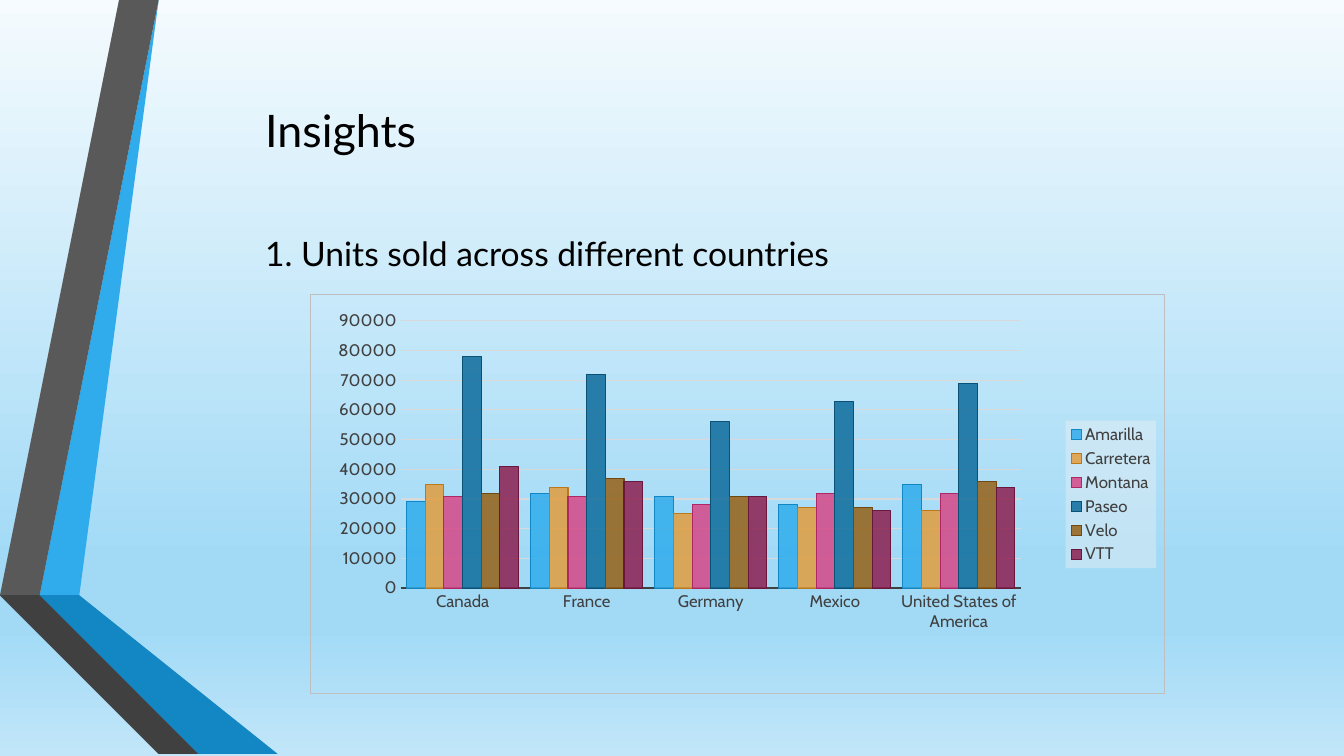
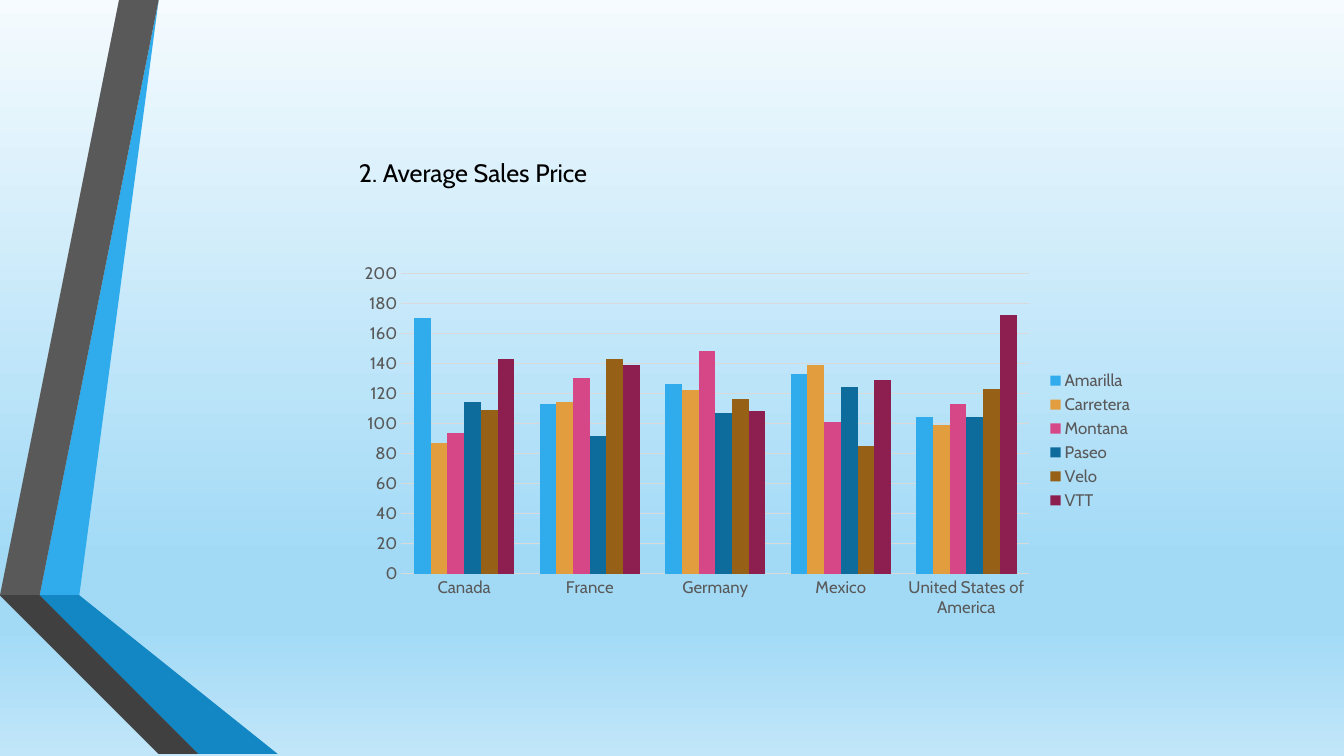
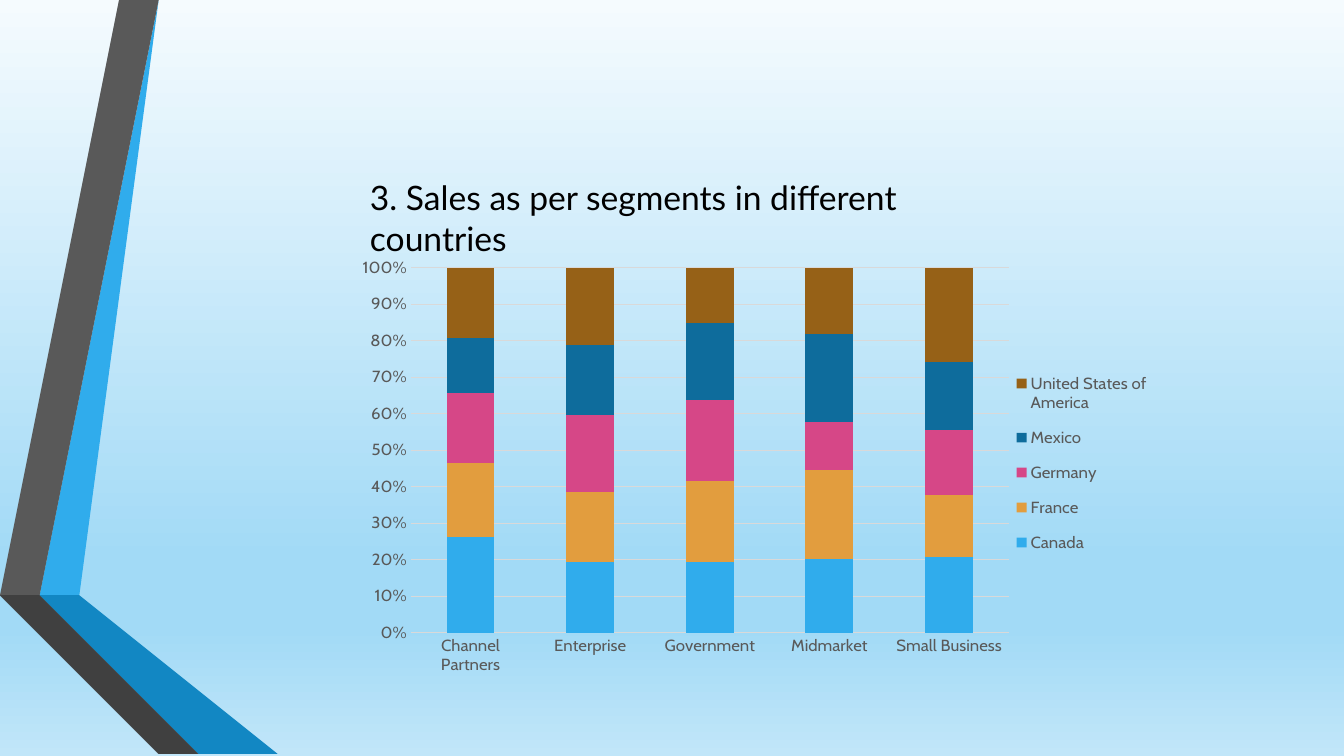
from lxml.etree import SubElement
from pptx import Presentation
from pptx.chart.data import CategoryChartData
from pptx.dml.color import RGBColor
from pptx.enum.chart import XL_CHART_TYPE, XL_LEGEND_POSITION, XL_TICK_MARK
from pptx.enum.text import MSO_ANCHOR, MSO_AUTO_SIZE, PP_ALIGN
from pptx.oxml import parse_xml
from pptx.oxml.ns import nsdecls, qn
from pptx.util import Cm, Pt

# Shared look
HEAD, BODY = "Lato", "Cabin"
BLACK, DARK, GREY, GRID = "000000", "404040", "595959", "D9D9D9"
SKY = [(0, "F5FBFE"), (74, "A2DAF6"), (83, "A2DAF6"), (100, "C1E6F9")]
HUES = ["30ACEC", "E29D3E", "D64787", "0E6C9C", "966117", "8C1F50"]
EDGES = ["1287C3", "BC791C", "AF2764", "0B5175", "714811", "69173C"]

# Ribbon outlines in centimetres, from back to front
BANDS = [
    ("30ACEC", [(1.27, 14.68), (1.96, 14.81), (4.39, 0), (3.68, 0)]),
    (GREY, [(3.53, 0), (2.82, 0), (0.41, 14.55), (1.12, 14.66)]),
    ("262626", [(0.41, 14.55), (3.68, 19.05), (3.84, 19.05)]),
    ("0C5A82", [(1.27, 14.71), (5.28, 19.05), (5.44, 19.05)]),
    ("1287C3", [(1.27, 14.71), (5.44, 19.05), (7.19, 19.05), (1.96, 14.81),
                (1.27, 14.68)]),
    (DARK, [(5.13, 19.05), (1.22, 14.68), (1.12, 14.66), (0.41, 14.55),
            (3.84, 19.05)]),
]

# Chart data
LANDS = ["Canada", "France", "Germany", "Mexico", "United States of America"]
PARTS = ["Channel Partners", "Enterprise", "Government", "Midmarket",
         "Small Business"]
UNITS = {
    "Amarilla": [29000, 32000, 31000, 28000, 35000],
    "Carretera": [35000, 34000, 25000, 27000, 26000],
    "Montana": [31000, 31000, 28000, 32000, 32000],
    "Paseo": [78000, 72000, 56000, 63000, 69000],
    "Velo": [32000, 37000, 31000, 27000, 36000],
    "VTT": [41000, 36000, 31000, 26000, 34000],
}
PRICES = {
    "Amarilla": [170, 113, 126, 133, 104],
    "Carretera": [87, 114, 122, 139, 99],
    "Montana": [94, 130, 148, 101, 113],
    "Paseo": [114, 92, 107, 124, 104],
    "Velo": [109, 143, 116, 85, 123],
    "VTT": [143, 139, 108, 129, 172],
}
SALES = dict(zip(LANDS, [
    [26, 19, 19, 20, 21],
    [20, 19, 22, 24, 17],
    [19, 21, 22, 13, 18],
    [15, 19, 21, 24, 19],
    [19, 21, 15, 18, 26],
]))


def rgb(code):
    return RGBColor.from_string(code)


def set_font(font, face, size, hue):
    font.name, font.size = face, Pt(size)
    font.color.rgb = rgb(hue)


def set_line(line, hue, width):
    line.color.rgb = rgb(hue)
    line.width = Pt(width)


# Background and ribbons, kept on the master
def paint_sky(master):
    fill = master.background.fill
    fill.gradient()
    fill.gradient_angle = 270
    stops = master.element.find(".//" + qn("a:gsLst"))
    for old in list(stops):
        stops.remove(old)
    for spot, hue in SKY:
        stop = SubElement(stops, qn("a:gs"), pos=str(spot * 1000))
        SubElement(stop, qn("a:srgbClr"), val=hue)


def draw_bands(slide, master):
    tree = master.shapes.element if hasattr(master.shapes, "element") \
        else master.element.find(".//" + qn("p:spTree"))
    for rank, (hue, spots) in enumerate(BANDS):
        pen = slide.shapes.build_freeform(*spots[0], scale=Cm(1))
        pen.add_line_segments(spots[1:], close=True)
        band = pen.convert_to_shape()
        band.name = f"Band {rank + 1}"
        band.shadow.inherit = False
        band.fill.solid()
        band.fill.fore_color.rgb = rgb(hue)
        band.line.fill.background()
        band.element.find(".//" + qn("p:cNvPr")).set("id", str(20 + rank))
        tree.insert(2 + rank, band.element)


# Text in a placeholder
def put_text(holder, box, text, face, size):
    holder.left, holder.top, holder.width, holder.height = map(Cm, box)
    frame = holder.text_frame
    frame.word_wrap = True
    frame.auto_size = MSO_AUTO_SIZE.NONE
    frame.vertical_anchor = MSO_ANCHOR.TOP
    para = frame.paragraphs[0]
    para.alignment = PP_ALIGN.LEFT
    para.space_before = Pt(0)
    props = para._p.get_or_add_pPr()
    props.set("marL", "0")
    props.set("indent", "0")
    SubElement(props, qn("a:buNone"))
    run = para.add_run()
    run.text = text
    set_font(run.font, face, size, BLACK)


# Chart details that need XML
def clear_box(tag="c:spPr"):
    return parse_xml(f'<{tag} {nsdecls("c", "a")}><a:noFill/>'
                     f'<a:ln><a:noFill/></a:ln></{tag}>')


def place_part(part, index, box):
    for old in part.findall(qn("c:layout")):
        part.remove(old)
    lay = parse_xml(f'<c:layout {nsdecls("c")}><c:manualLayout/></c:layout>')
    inner = part.tag == qn("c:plotArea")
    pairs = [("layoutTarget", "inner")] if inner else []
    pairs += [("xMode", "edge"), ("yMode", "edge")]
    pairs += zip("xywh", box)
    for key, val in pairs:
        SubElement(lay[0], qn("c:" + key), val=str(val))
    part.insert(index, lay)


def fade(fill, share):
    SubElement(fill.find(".//" + qn("a:srgbClr")), qn("a:alpha"),
               val=str(share * 1000))


def frame_chart(chart, hue):
    root = chart._chartSpace
    box = clear_box()
    if hue:
        line = box.find(qn("a:ln"))
        line.set("w", str(Pt(0.75)))
        line.remove(line[0])
        solid = SubElement(line, qn("a:solidFill"))
        SubElement(solid, qn("a:srgbClr"), val=hue)
    root.find(qn("c:chart")).addnext(box)
    root.find(".//" + qn("c:plotArea")).append(clear_box())


def tint_key(chart, hue, share):
    box = parse_xml(f'<c:spPr {nsdecls("c", "a")}><a:solidFill>'
                    f'<a:srgbClr val="{hue}"/></a:solidFill></c:spPr>')
    fade(box, share)
    chart.legend._element.find(qn("c:overlay")).addnext(box)


# Column charts
def style_axis(axis, ink):
    axis.major_tick_mark = axis.minor_tick_mark = XL_TICK_MARK.NONE
    set_font(axis.tick_labels.font, BODY, 12, ink)
    axis.format.line.fill.background()


def add_bars(slide, kind, box, names, rows, ink, gap, form="0", top=None,
             step=None, plot=None):
    data = CategoryChartData()
    data.categories = names
    for name, vals in rows.items():
        data.add_series(name, vals)
    chart = slide.shapes.add_chart(kind, *map(Cm, box), data).chart
    chart.has_title = False
    set_font(chart.font, BODY, 10, BLACK)

    bars = chart.plots[0]
    bars.gap_width = gap
    bars.vary_by_categories = False
    for row, hue in zip(bars.series, HUES):
        row.invert_if_negative = False
        row.format.fill.solid()
        row.format.fill.fore_color.rgb = rgb(hue)

    scale = chart.value_axis
    for axis in (chart.category_axis, scale):
        style_axis(axis, ink)
    scale.has_major_gridlines = True
    set_line(scale.major_gridlines.format.line, GRID, 0.75)
    scale.tick_labels.number_format = form
    scale.tick_labels.number_format_is_linked = False
    if top:
        scale.minimum_scale, scale.maximum_scale = 0, top
        scale.major_unit = step

    chart.has_legend = True
    chart.legend.position = XL_LEGEND_POSITION.RIGHT
    chart.legend.include_in_layout = False
    set_font(chart.legend.font, BODY, 12, ink)
    if plot:
        place_part(chart._chartSpace.find(".//" + qn("c:plotArea")), 0, plot)
    return chart


# Slides
def show_units(slide):
    put_text(slide.shapes.title, (6.43, 2.46, 9.5, 1.63), "Insights", HEAD, 32)
    put_text(slide.placeholders[1], (6.43, 5.74, 15.04, 1.27),
             "1. Units sold across different countries", HEAD, 24)
    chart = add_bars(slide, XL_CHART_TYPE.COLUMN_CLUSTERED,
                     (7.8, 7.42, 21.56, 10.08), LANDS, UNITS, DARK, 65,
                     top=90000, step=10000, plot=(0.106, 0.065, 0.726, 0.67))
    for row, edge in zip(chart.plots[0].series, EDGES):
        fade(row._element, 85)
        set_line(row.format.line, edge, 0.75)
    set_line(chart.category_axis.format.line, DARK, 1.5)
    frame_chart(chart, "BFBFBF")
    tint_key(chart, "F2F2F2", 39)


def show_price(slide):
    put_text(slide.shapes.title, (8.79, 3.84, 16, 1.02),
             "2. Average Sales Price", BODY, 18)
    chart = add_bars(slide, XL_CHART_TYPE.COLUMN_CLUSTERED,
                     (8.79, 6.45, 20.04, 9.3), LANDS, PRICES, GREY, 150,
                     top=200, step=20)
    frame_chart(chart, None)


def show_sales(slide):
    put_text(slide.shapes.title, (9.07, 4.34, 17.2, 1.27),
             "3. Sales as per segments in different countries", HEAD, 24)
    chart = add_bars(slide, XL_CHART_TYPE.COLUMN_STACKED_100,
                     (9.07, 6.38, 20.32, 10.62), PARTS, SALES, GREY, 150,
                     form="0%", plot=(0.063, 0.036, 0.742, 0.904))
    chart.plots[0].overlap = 100
    place_part(chart.legend._element, 1, (0.8, 0.26, 0.19, 0.52))
    frame_chart(chart, None)


def main():
    deck = Presentation()
    deck.slide_width, deck.slide_height = Cm(33.87), Cm(19.05)
    master = deck.slide_master
    paint_sky(master)
    full, plain = deck.slide_layouts[1], deck.slide_layouts[5]
    first = deck.slides.add_slide(full)
    draw_bands(first, master)
    show_units(first)
    show_price(deck.slides.add_slide(plain))
    show_sales(deck.slides.add_slide(plain))
    deck.save("out.pptx")


main()
